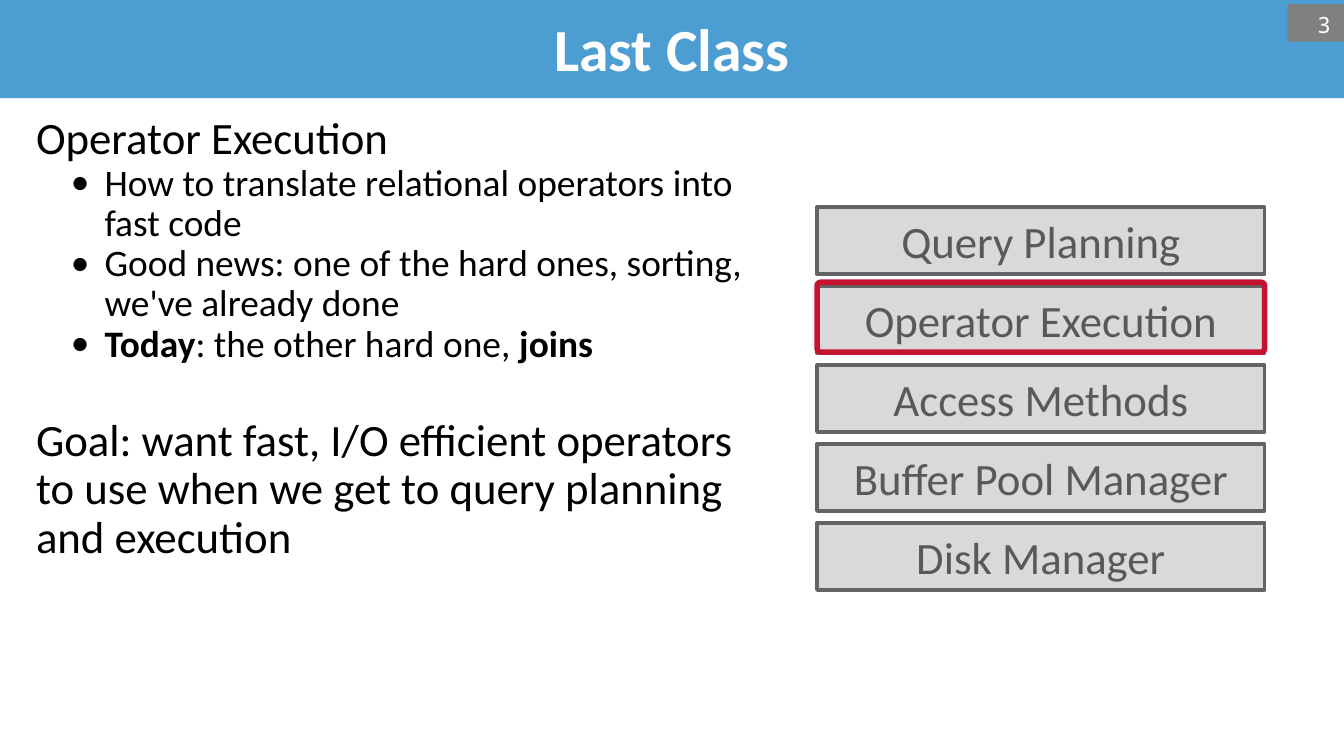
import pptx
import pptx.util
import pptx.dml.color
import pptx.enum.shapes
import pptx.enum.text
import pptx.oxml.ns
import lxml.etree

Inches = pptx.util.Inches
Pt = pptx.util.Pt
KIND = pptx.enum.shapes.MSO_SHAPE
ALIGN = pptx.enum.text.PP_ALIGN
ANCHOR = pptx.enum.text.MSO_ANCHOR


def tint(color, code):
    """Set a fill colour or font colour from a hex string."""
    color.rgb = pptx.dml.color.RGBColor.from_string(code)


def block(kind, place, fill=None, line=None, width=0):
    """Add a flat shape; without a fill or line it stays clear there."""
    shape = slide.shapes.add_shape(kind, *[Inches(n) for n in place])
    shape.shadow.inherit = False
    if fill:
        shape.fill.solid()
        tint(shape.fill.fore_color, fill)
    else:
        shape.fill.background()
    if line:
        tint(shape.line.color, line)
        shape.line.width = Pt(width)
    else:
        shape.line.fill.background()
    return shape


deck = pptx.Presentation()
deck.slide_width = Inches(10)
deck.slide_height = Inches(10 * 9 / 16)
slide = deck.slides.add_slide(deck.slide_layouts[6])

# Title bar
title = block(KIND.RECTANGLE, (0, -0.02, 10, 0.75), "4C9DD2")
labels = [(title, "Last Class", ALIGN.CENTER, "FFFFFF",
           {"name": "Calibri", "size": Pt(32), "bold": True})]

# Body text: bullet or not, space before in points, runs of (text, bold)
body = [
    (False, 0, [("Operator Execution", False)]),
    (True, 0, [("How to translate relational operators into fast code",
                False)]),
    (True, 0, [("Good news: one of the hard ones, sorting, "
                "we've already done", False)]),
    (True, 0, [("Today", True), (": the other hard one, ", False),
               ("joins", True)]),
    (False, 28, [("Goal: want fast, I/O efficient operators to use when "
                  "we get to query planning and execution", False)]),
]
box = slide.shapes.add_textbox(Inches(0.17), Inches(0.81),
                               Inches(5.67), Inches(4.33))
box.text_frame.word_wrap = True
for spot, (bullet, before, runs) in enumerate(body):
    para = (box.text_frame.add_paragraph() if spot
            else box.text_frame.paragraphs[0])
    para.line_spacing = 0.9
    para.space_before = Pt(before)
    if bullet:
        props = para._p.get_or_add_pPr()
        props.set("marL", str(Inches(0.51)))
        props.set("indent", str(Inches(-0.25)))
        for tag, key, value in (("a:buFont", "typeface", "Calibri"),
                                ("a:buChar", "char", "•")):
            mark = lxml.etree.SubElement(props, pptx.oxml.ns.qn(tag))
            mark.set(key, value)
    for text, bold in runs:
        run = para.add_run()
        run.text = text
        tint(run.font.color, "000000")
        style = {"name": "Calibri", "size": Pt(20 if bullet else 24),
                 "bold": bold}
        for key, value in style.items():
            setattr(run.font, key, value)

# Page number
page = block(KIND.RECTANGLE, (9.58, 0.03, 0.42, 0.28), "808080")
page.text_frame.vertical_anchor = ANCHOR.TOP
labels.append((page, "3", ALIGN.RIGHT, "FFFFFF",
               {"name": "Noto Sans Mono", "size": Pt(12)}))

# Stack of system layers, evenly spread from first to last
layers = ["Query Planning", "Operator Execution", "Access Methods",
          "Buffer Pool Manager", "Disk Manager"]
first, last = 1.54, 3.89
step = (last - first) / (len(layers) - 1)
for row, name in enumerate(layers):
    layer = block(KIND.RECTANGLE, (6.08, first + row * step, 3.33, 0.5),
                  "D9D9D9", "646464", 2)
    for side in ("left", "right", "top", "bottom"):
        setattr(layer.text_frame, "margin_" + side, Inches(0.05))
    labels.append((layer, name, ALIGN.CENTER, "595959",
                   {"name": "Calibri", "size": Pt(24)}))

# Frame around the current layer
frame = block(KIND.ROUNDED_RECTANGLE, (6.08, 2.1, 3.33, 0.52),
              line="C41230", width=3)
frame.adjustments[0] = 0.05

for shape, text, align, color, style in labels:
    para = shape.text_frame.paragraphs[0]
    para.text = text
    para.alignment = align
    tint(para.font.color, color)
    for key, value in style.items():
        setattr(para.font, key, value)

deck.save("out.pptx")
